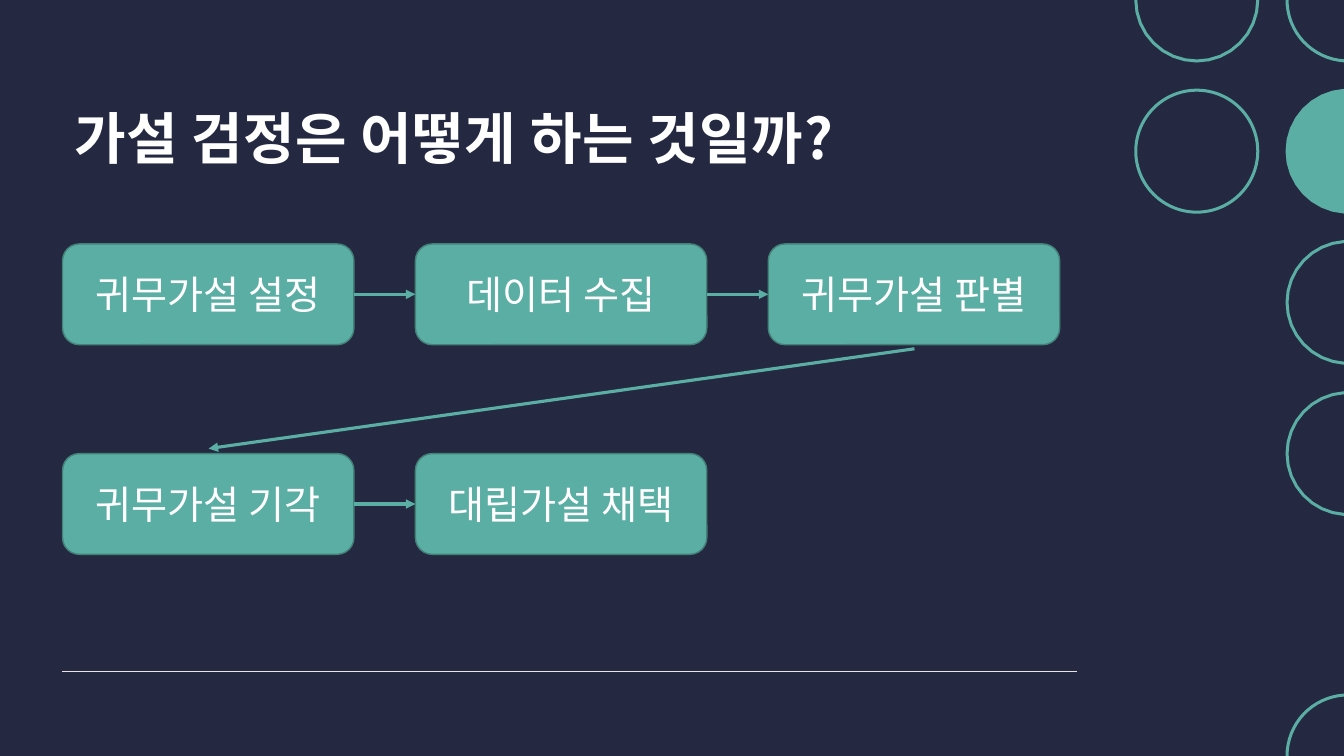
from math import acos, cos, degrees, radians, sin

from lxml.etree import SubElement
from pptx import Presentation
from pptx.dml.color import RGBColor
from pptx.enum.shapes import MSO_CONNECTOR as Connector, MSO_SHAPE as Shape
from pptx.enum.text import MSO_ANCHOR as Anchor, MSO_AUTO_SIZE as AutoSize, PP_ALIGN as Align
from pptx.oxml.ns import qn
from pptx.util import Inches, Pt

COLORS = {
    "navy": "242941",
    "teal": "5AAEA4",
    "teal_dark": "438179",
    "white": "FFFFFF",
    "rule": "E8E2E3",
}
FONT = "Noto Sans CJK KR"
SLIDE_WIDTH, SLIDE_HEIGHT = 13.33, 7.5

# Step grid
LEFT, TOP = 0.62, 2.42
BOX_WIDTH, BOX_HEIGHT = 2.89, 1
COLUMN_STEP, ROW_STEP = 3.5, 2.08
STEP_ROWS = [
    ["귀무가설 설정", "데이터 수집", "귀무가설 판별"],
    ["귀무가설 기각", "대립가설 채택"],
]

# Circle grid: the right column is cut by the slide edge
OUTER_RADIUS, INNER_RADIUS = 0.62, 0.59
CIRCLE_STEP = 1.5
INNER_COLUMN, EDGE_COLUMN = 11.87, 13.37
ARC_SEGMENTS = 16


def color(name):
    return RGBColor.from_string(COLORS[name])


def fill_shape(shape, fill):
    shape.fill.solid()
    shape.fill.fore_color.rgb = color(fill)
    shape.line.fill.background()
    shape.shadow.inherit = False


def add_run(paragraph, text, size, bold=False):
    run = paragraph.add_run()
    run.text = text
    run.font.size = Pt(size)
    run.font.bold = bold
    run.font.name = FONT
    run.font.color.rgb = color("white")
    properties = run.font._element
    SubElement(properties, qn("a:ea")).set("typeface", FONT)
    return properties


def add_title(slide, text):
    title = slide.shapes.title
    title.left, title.top = Inches(LEFT), Inches(0.84)
    title.width, title.height = Inches(10.06), Inches(1.39)
    frame = title.text_frame
    frame.word_wrap = True
    frame.auto_size = AutoSize.NONE
    frame.vertical_anchor = Anchor.TOP
    frame.margin_left = frame.margin_top = frame.margin_right = Inches(0.12)
    frame.margin_bottom = Inches(0.1)
    paragraph = frame.paragraphs[0]
    paragraph.alignment = Align.LEFT
    paragraph.line_spacing = 1.1
    add_run(paragraph, text, 40, bold=True).set("spc", "40")


def add_step(slide, left, top, text):
    box = slide.shapes.add_shape(Shape.ROUNDED_RECTANGLE, Inches(left), Inches(top),
                                 Inches(BOX_WIDTH), Inches(BOX_HEIGHT))
    fill_shape(box, "teal")
    box.line.color.rgb = color("teal_dark")
    box.line.width = Pt(1)
    frame = box.text_frame
    frame.word_wrap = True
    frame.vertical_anchor = Anchor.MIDDLE
    paragraph = frame.paragraphs[0]
    paragraph.alignment = Align.CENTER
    add_run(paragraph, text, 28)


def add_line(slide, start, end, line_color, width, arrow=False):
    x1, y1, x2, y2 = (Inches(value) for value in (*start, *end))
    line = slide.shapes.add_connector(Connector.STRAIGHT, x1, y1, x2, y2)
    line.line.color.rgb = color(line_color)
    line.line.width = Pt(width)
    if arrow:
        SubElement(line.line._get_or_add_ln(), qn("a:tailEnd")).set("type", "triangle")
    SubElement(line._element.spPr, qn("a:effectLst"))


def arc_points(center, row, radius, top_cut, bottom_cut):
    """Points of the part of a circle that lies on the slide."""
    edge = degrees(acos((SLIDE_WIDTH - center) / radius)) if center == EDGE_COLUMN else 0
    start = 180 if bottom_cut else edge
    end = 180 if top_cut else 360 - edge
    angles = [radians(start + (end - start) * index / ARC_SEGMENTS)
              for index in range(ARC_SEGMENTS + 1)]
    return [(Inches(center + radius * cos(angle)),
             Inches(CIRCLE_STEP * row + radius * sin(angle))) for angle in angles]


def add_cut_circle(slide, center, row, top_cut=False, bottom_cut=False, solid=False):
    points = arc_points(center, row, OUTER_RADIUS, top_cut, bottom_cut)
    if not solid:
        points += arc_points(center, row, INNER_RADIUS, top_cut, bottom_cut)[::-1]
    builder = slide.shapes.build_freeform(*points[0])
    builder.add_line_segments(points[1:], close=True)
    fill_shape(builder.convert_to_shape(), "teal")


def add_circles(slide):
    add_cut_circle(slide, EDGE_COLUMN, 1, solid=True)
    add_cut_circle(slide, INNER_COLUMN, 0, top_cut=True)
    add_cut_circle(slide, EDGE_COLUMN, 0, top_cut=True)
    for row in (2, 3):
        add_cut_circle(slide, EDGE_COLUMN, row)
    add_cut_circle(slide, EDGE_COLUMN, 5, bottom_cut=True)

    # The one whole ring
    size = 2 * OUTER_RADIUS
    ring = slide.shapes.add_shape(Shape.DONUT, Inches(INNER_COLUMN - OUTER_RADIUS),
                                  Inches(CIRCLE_STEP - OUTER_RADIUS), Inches(size), Inches(size))
    ring.adjustments[0] = (OUTER_RADIUS - INNER_RADIUS) / size
    fill_shape(ring, "teal")


def add_flow(slide):
    for row, steps in enumerate(STEP_ROWS):
        top = TOP + row * ROW_STEP
        middle = top + BOX_HEIGHT / 2
        for column, text in enumerate(steps):
            left = LEFT + column * COLUMN_STEP
            add_step(slide, left, top, text)
            if column:
                start = left - COLUMN_STEP + BOX_WIDTH
                add_line(slide, (start, middle), (left, middle), "teal", 2.25, arrow=True)
    # Return from the first row to the second
    add_line(slide, (9.07, 3.46), (2.07, 4.45), "teal", 2.25, arrow=True)


def main():
    presentation = Presentation()
    presentation.slide_width = Inches(SLIDE_WIDTH)
    presentation.slide_height = Inches(SLIDE_HEIGHT)
    slide = presentation.slides.add_slide(presentation.slide_layouts[5])
    slide.background.fill.solid()
    slide.background.fill.fore_color.rgb = color("navy")

    add_title(slide, "가설 검정은 어떻게 하는 것일까?")
    add_line(slide, (LEFT, 6.66), (10.68, 6.66), "rule", 1)
    add_circles(slide)
    add_flow(slide)
    presentation.save("out.pptx")


if __name__ == "__main__":
    main()
